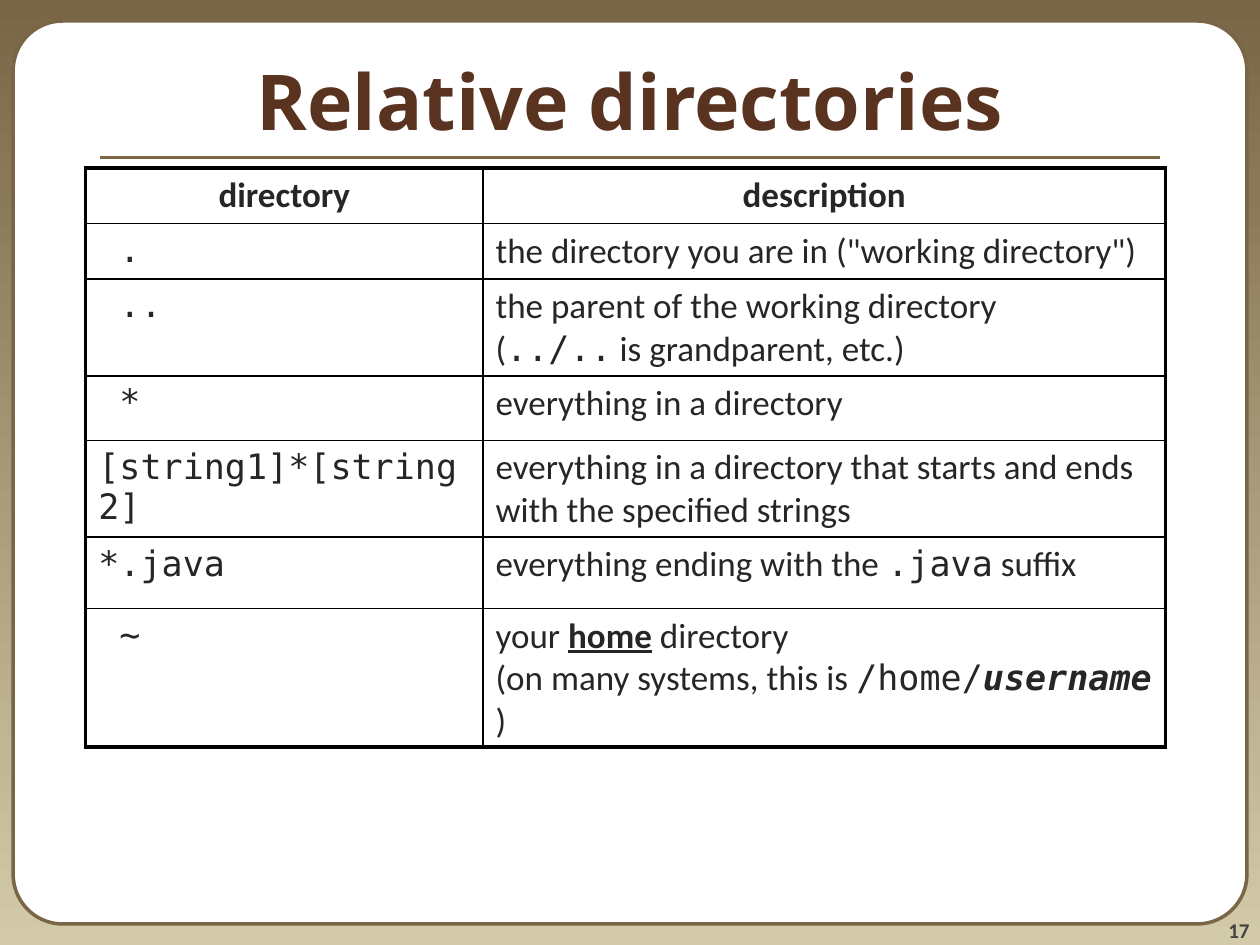
from lxml.etree import SubElement
from pptx import Presentation
from pptx.dml.color import RGBColor
from pptx.enum.shapes import MSO_CONNECTOR, MSO_SHAPE
from pptx.enum.text import MSO_ANCHOR, PP_ALIGN
from pptx.oxml.ns import qn
from pptx.util import Pt

COLORS = {"brown": "796646", "sand": "D3CAAA", "white": "FFFFFF", "title": "5A3320",
          "text": "262626", "number": "424242", "border": "000000"}
RGB = {name: RGBColor.from_string(code) for name, code in COLORS.items()}
BODY, MONO = "Calibri", "DejaVu Sans Mono"


def add_label(box, text, font, size, color, align, anchor):
    """Add a bold one-line text box; box is left, top, width, height in points."""
    frame = slide.shapes.add_textbox(*map(Pt, box)).text_frame
    frame.word_wrap = True
    frame.vertical_anchor = anchor
    para = frame.paragraphs[0]
    para.text, para.alignment = text, align
    para.font.name, para.font.size, para.font.bold = font, Pt(size), True
    para.font.color.rgb = RGB[color]
    return frame


def add_border(cell, side, width):
    line = SubElement(cell._tc.get_or_add_tcPr(), qn("a:ln" + side), w=str(Pt(width)))
    fill = SubElement(line, qn("a:solidFill"))
    SubElement(fill, qn("a:srgbClr"), val=COLORS["border"])


prs = Presentation()
prs.slide_width, prs.slide_height = Pt(720), Pt(540)
slide = prs.slides.add_slide(prs.slide_layouts[6])

# Background and panel
back = slide.background.fill
back.gradient()
back.gradient_angle = 270
for stop, name, place in zip(back.gradient_stops, ("brown", "sand"), (0, 1)):
    stop.color.rgb, stop.position = RGB[name], place

panel = slide.shapes.add_shape(MSO_SHAPE.ROUNDED_RECTANGLE, Pt(7.5), Pt(12), Pt(705), Pt(516))
panel.adjustments[0] = 0.055
panel.shadow.inherit = False
panel.fill.solid()
panel.fill.fore_color.rgb = RGB["white"]
panel.line.color.rgb, panel.line.width = RGB["brown"], Pt(2)

# Page number, rule and title
number = add_label((654, 510, 60, 28.5), "17", BODY, 12, "number",
                   PP_ALIGN.RIGHT, MSO_ANCHOR.BOTTOM)
number.margin_left = number.margin_right = number.margin_top = number.margin_bottom = 0

rule = slide.shapes.add_connector(MSO_CONNECTOR.STRAIGHT, Pt(57), Pt(90), Pt(663), Pt(90))
rule.line.color.rgb, rule.line.width = RGB["brown"], Pt(2.25)
SubElement(rule._element.spPr, qn("a:effectLst"))

add_label((0, 12, 720, 90), "Relative directories", "Noto Sans", 44, "title",
          PP_ALIGN.CENTER, MSO_ANCHOR.MIDDLE)

# Table: each row is height, directory, description runs (text and styles:
# m mono, b bold, i italic, u underline)
rows = [
    (31.7, [("directory", "b")], [("description", "b")]),
    (31.7, [(" .", "m")], [('the directory you are in ("working directory")', "")]),
    (55.4, [(" ..", "m")], [("the parent of the working directory\n(", ""), ("../..", "m"),
                            (" is grandparent, etc.)", "")]),
    (36.8, [(" *", "m")], [("everything in a directory", "")]),
    (55.4, [("[string1]*[string2]", "m")],
     [("everything in a directory that starts and ends with the specified strings", "")]),
    (40.7, [("*.java", "m")], [("everything ending with the ", ""), (".java", "m"),
                               (" suffix", "")]),
    (55.4, [(" ~", "m")], [("your ", ""), ("home", "bu"),
                           (" directory\n(on many systems, this is ", ""),
                           ("/home/", "m"), ("username", "mbi"), (" )", "")]),
]
widths = [227, 390]
last = len(rows) - 1
table = slide.shapes.add_table(len(rows), len(widths), Pt(49), Pt(96), Pt(sum(widths)),
                               Pt(sum(row[0] for row in rows))).table
table.first_row = table.horz_banding = False
for col, width in zip(table.columns, widths):
    col.width = Pt(width)

for r, (height, *cells) in enumerate(rows):
    table.rows[r].height = Pt(height)
    for c, runs in enumerate(cells):
        cell = table.cell(r, c)
        outer = {"L": c == 0, "R": c == 1, "T": r == 0, "B": r == last}
        for side, edge in outer.items():
            add_border(cell, side, 2.25 if edge else 1)
        cell.fill.background()
        para = cell.text_frame.paragraphs[0]
        para.alignment = PP_ALIGN.CENTER if r == 0 else PP_ALIGN.LEFT
        para.font.size = Pt(20)
        para.font.color.rgb = RGB["text"]
        for text, style in runs:
            for n, part in enumerate(text.split("\n")):
                if n:
                    para.add_line_break()
                run = para.add_run()
                run.text = part
                run.font.name = MONO if "m" in style else BODY
                run.font.bold = "b" in style
                run.font.italic = "i" in style
                run.font.underline = "u" in style

prs.save("out.pptx")
